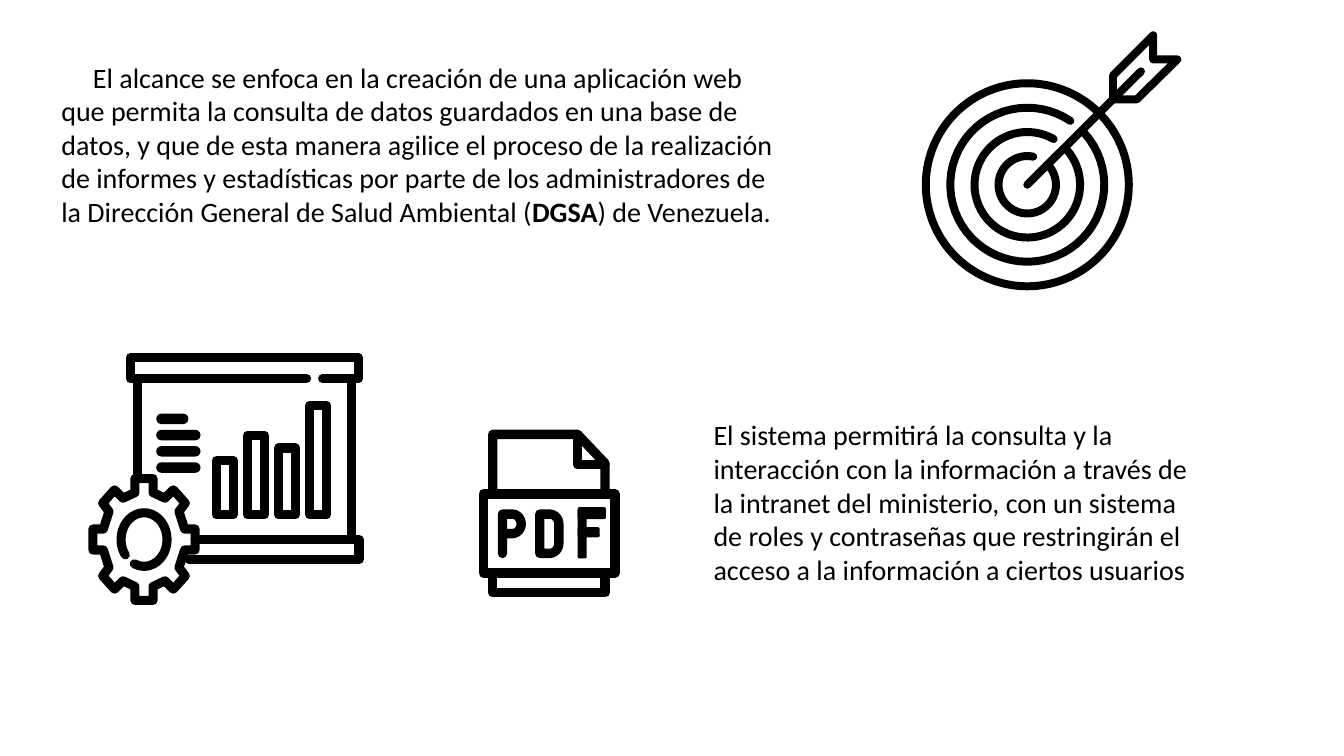
from math import cos, radians, sin

from lxml.etree import SubElement
from pptx import Presentation
from pptx.dml.color import RGBColor
from pptx.enum.shapes import MSO_CONNECTOR as Connector, MSO_SHAPE as Shape
from pptx.oxml.ns import qn
from pptx.util import Pt

BLACK = "000000"


def colour(hex_string):
    return RGBColor.from_string(hex_string)


def arc(centre, radius_x, radius_y, start, end, steps=60):
    """Points of an elliptical arc, counter-clockwise, angles in degrees."""
    angles = [radians(start + (end - start) * i / steps) for i in range(steps + 1)]
    return [(centre[0] + radius_x * cos(a), centre[1] - radius_y * sin(a)) for a in angles]


class SlideBuilder:
    font = "Calibri"
    size = 20
    ink = BLACK

    def __init__(self, slide):
        self.slide = slide
        self.shapes = slide.shapes

    def start_icon(self):
        self.shapes = self.slide.shapes.add_group_shape().shapes

    def text(self, left, top, width, height, runs, indent=0):
        box = self.slide.shapes.add_textbox(Pt(left), Pt(top), Pt(width), Pt(height))
        box.text_frame.word_wrap = True
        paragraph = box.text_frame.paragraphs[0]
        if indent:
            paragraph._p.get_or_add_pPr().set("indent", str(Pt(indent)))
        for content, bold in runs:
            run = paragraph.add_run()
            run.text = content
            run.font.name, run.font.size = self.font, Pt(self.size)
            run.font.bold = bold
            run.font.color.rgb = colour(self.ink)

    def stroke(self, shape, weight):
        shape.line.color.rgb = colour(self.ink)
        shape.line.width = Pt(weight)
        outline = shape._element.spPr.find(qn("a:ln"))
        outline.set("cap", "rnd")
        SubElement(outline, qn("a:round"))

    def hollow(self, shape, weight):
        self.stroke(shape, weight)
        shape.fill.background()
        shape.shadow.inherit = False

    def outline(self, contours, weight, closed=False):
        """One freeform made of one or more contours."""
        builder = None
        for contour in contours:
            start, *rest = [(Pt(x), Pt(y)) for x, y in contour]
            if builder is None:
                builder = self.shapes.build_freeform(*start)
            else:
                builder.move_to(*start)
            builder.add_line_segments(rest, close=closed)
        self.hollow(builder.convert_to_shape(), weight)

    def box(self, left, top, right, bottom, weight):
        corners = [(left, top), (right, top), (right, bottom), (left, bottom)]
        self.outline([corners], weight, closed=True)

    def ring(self, centre, radius, weight):
        x, y = centre
        shape = self.shapes.add_shape(Shape.OVAL, Pt(x - radius), Pt(y - radius),
                                      Pt(2 * radius), Pt(2 * radius))
        self.hollow(shape, weight)

    def line(self, x1, y1, x2, y2, weight):
        connector = self.shapes.add_connector(Connector.STRAIGHT, Pt(x1), Pt(y1), Pt(x2), Pt(y2))
        self.stroke(connector, weight)
        SubElement(connector._element.spPr, qn("a:effectLst"))

    def block(self, left, top, width, height, rounding=0.17):
        shape = self.shapes.add_shape(Shape.ROUNDED_RECTANGLE, Pt(left), Pt(top),
                                      Pt(width), Pt(height))
        shape.adjustments[0] = rounding
        shape.fill.solid()
        shape.fill.fore_color.rgb = colour(self.ink)
        shape.line.fill.background()
        shape.shadow.inherit = False


def draw_target(builder):
    weight, centre = 5.7, (733.8, 132)
    builder.start_icon()
    builder.ring(centre, 72.5, weight)
    # Each open ring runs from its gap round to the arrow shaft
    for radius, gap_end in ((55, 56), (37.7, 60), (20.5, 78)):
        builder.outline([arc(centre, radius, radius, gap_end, 402)], weight)
    builder.line(*centre, 815, 51, weight)
    feathers = [(823.7, 25.2), (823.7, 42.5), (841, 42.5), (812, 71), (795, 71), (795, 54)]
    builder.outline([feathers], weight, closed=True)


def draw_report(builder):
    weight = 6.5
    builder.start_icon()
    # Gear, mirrored from one quarter
    x, y = 102.9, 385.4
    quarter = [(6.5, 43.5), (6.5, 33.5), (15, 29.5), (21, 35.5),
               (29.5, 26), (25, 20), (29, 7.5), (36.5, 7.5)]
    gear = []
    for sign_x, sign_y, order in ((1, -1, 1), (1, 1, -1), (-1, 1, 1), (-1, -1, -1)):
        gear += [(x + sign_x * dx, y + sign_y * dy) for dx, dy in quarter[::order]]
    gear.append(gear[0])
    # Screen with its top rail, sides and foot, joined to the gear
    rail = [(219, 270.4), (93.2, 270.4), (93.2, 255.6), (256.1, 255.6),
            (256.1, 270.4), (230.5, 270.4)]
    left_side = [(98.6, 270.4), (98.6, 341.9)]
    right_side = [(251, 270.4), (251, 385.2)]
    foot = [(139.4, 385.2), (256.5, 385.2), (256.5, 399.6), (135, 399.6)]
    builder.outline([rail, left_side, right_side, foot, gear], weight)
    builder.outline([arc((x, y), 16.4, 19.1, 245, 575)], weight)
    # Bars and text lines
    for i, top in enumerate((329, 311, 320, 289.8)):
        left = 154.4 + 22.3 * i
        builder.box(left, top, left + 12.2, 367.7, weight)
    for i, width in enumerate((23, 31.7, 31.7, 31.7)):
        builder.block(111.6, 295.4 + 11.6 * i, width, 7.5, rounding=0.5)


def draw_pdf_file(builder):
    weight = 6.7
    left, right = 352, 432.2
    builder.start_icon()
    # Page with folded corner, band and foot
    page = [(left, 349.6), (left, 310.3), (412.6, 310.3), (right, 331), (right, 349.6)]
    fold = [(412.6, 310.3), (412.6, 332), (right, 332)]
    foot = [(left, 409.3), (left, 423.4), (right, 423.4), (right, 409.3)]
    band = [(345.2, 352.8), (439.2, 352.8), (439.2, 409.3), (345.2, 409.3), (345.2, 352.8)]
    builder.outline([page, fold, band, foot], weight)
    # Letters P, D and F
    top, bottom = 367.2, 395.3
    bowl = arc((365.8, 374.2), 6.5, 7, 90, -90, 16)
    builder.outline([[(358.9, bottom), (358.9, top), *bowl, (358.9, 381.2)]], weight)
    upper = arc((392.4, 374.2), 6.8, 7, 90, 0, 8)
    lower = arc((392.4, 388.3), 6.8, 7, 0, -90, 8)
    builder.outline([[(385.6, top), *upper, *lower, (385.6, bottom)]], weight, closed=True)
    for y, width, height in ((363.6, 6.5, 35.3), (362.2, 20.2, 8.6), (376.6, 15.8, 7.2)):
        builder.block(412.6, y, width, height)


def main():
    presentation = Presentation()
    presentation.slide_width, presentation.slide_height = Pt(960), Pt(540)
    builder = SlideBuilder(presentation.slides.add_slide(presentation.slide_layouts[6]))

    # Scope of the project
    builder.text(36.7, 39.4, 524.9, 150.5, [
        ("El alcance se enfoca en la creación de una aplicación web que permita la consulta "
         "de datos guardados en una base de datos, y que de esta manera agilice el proceso de "
         "la realización de informes y estadísticas por parte de los administradores de la "
         "Dirección General de Salud Ambiental (", False),
        ("DGSA", True),
        (") de Venezuela.", False)], indent=22.6)

    # Access to the system
    builder.text(502.6, 295, 355.7, 150.5, [
        ("El sistema permitirá la consulta y la interacción con la información a través de "
         "la intranet del ministerio, con un sistema de roles y contraseñas que restringirán "
         "el acceso a la información a ciertos usuarios", False)])

    # Icons
    draw_target(builder)
    draw_report(builder)
    draw_pdf_file(builder)

    presentation.save("out.pptx")


if __name__ == "__main__":
    main()
